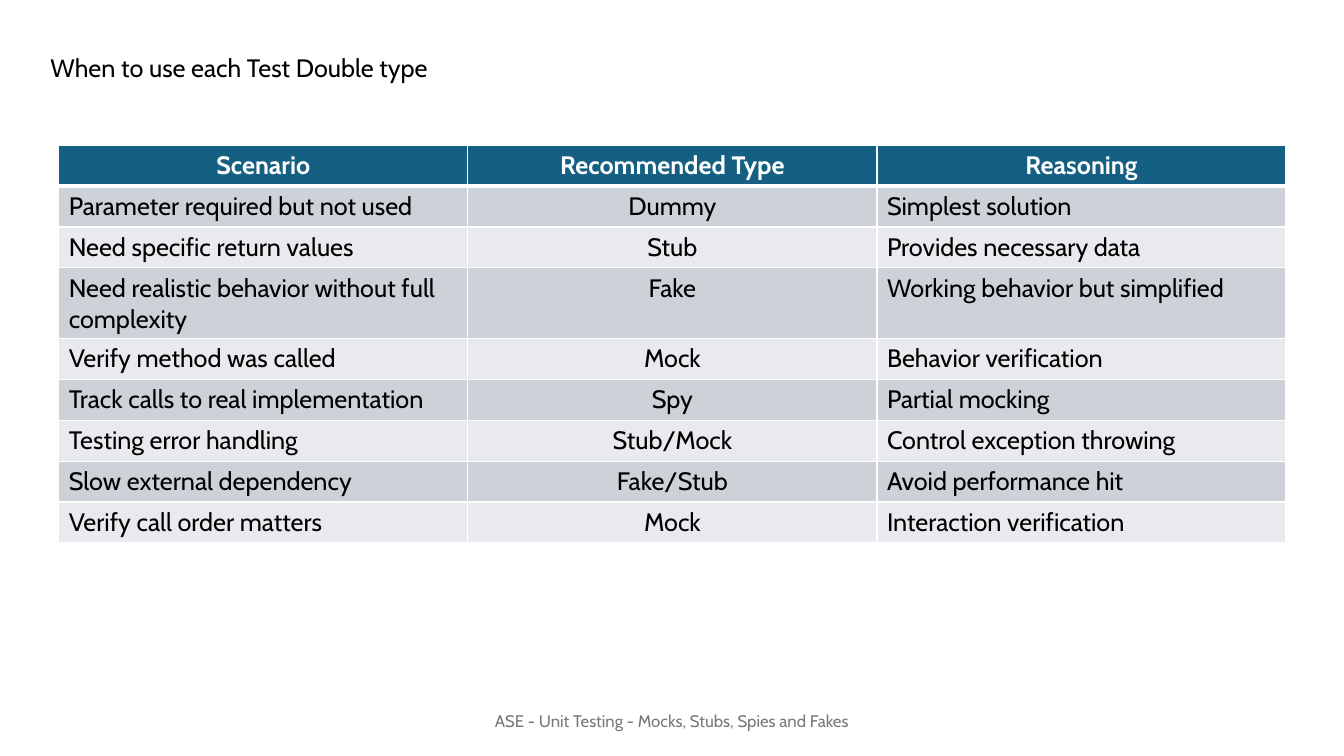
"""Build a slide with a table of recommended test double types."""
from lxml import etree
from pptx import Presentation
from pptx import util as u
from pptx.dml import color
from pptx.enum import text
from pptx.oxml import ns

ROWS = [
    ("Scenario", "Recommended Type", "Reasoning"),
    ("Parameter required but not used", "Dummy", "Simplest solution"),
    ("Need specific return values", "Stub", "Provides necessary data"),
    ("Need realistic behavior without full complexity", "Fake", "Working behavior but simplified"),
    ("Verify method was called", "Mock", "Behavior verification"),
    ("Track calls to real implementation", "Spy", "Partial mocking"),
    ("Testing error handling", "Stub/Mock", "Control exception throwing"),
    ("Slow external dependency", "Fake/Stub", "Avoid performance hit"),
    ("Verify call order matters", "Mock", "Interaction verification"),
]


def rgb(value):
    return color.RGBColor.from_string(value)


class SlideBuilder:
    font = "Cabin"
    black, white, grey = "000000", "FFFFFF", "797979"
    header_fill = "156082"
    band_fills = ("CCD2D8", "E8EAED")
    left, center = text.PP_ALIGN.LEFT, text.PP_ALIGN.CENTER

    def __init__(self, presentation):
        self.slide = presentation.slides.add_slide(presentation.slide_layouts[6])

    def add_words(self, frame, words, size, ink, align, bold=False):
        paragraph = frame.paragraphs[0]
        paragraph.alignment = align
        run = paragraph.add_run()
        run.text = words
        run.font.name = self.font
        run.font.size = u.Pt(size)
        run.font.bold = bold
        run.font.color.rgb = rgb(ink)

    def text_box(self, box, words, size, ink, align, anchor, wrap=True):
        shape = self.slide.shapes.add_textbox(*map(u.Cm, box))
        shape.text_frame.word_wrap = wrap
        shape.text_frame.vertical_anchor = anchor
        self.add_words(shape.text_frame, words, size, ink, align)

    def borders(self, cell, bottom):
        properties = cell._tc.get_or_add_tcPr()
        for side, width in (("L", 1), ("R", 1), ("T", 1), ("B", bottom)):
            line = etree.SubElement(properties, ns.qn(f"a:ln{side}"), w=str(u.Pt(width)))
            fill = etree.SubElement(line, ns.qn("a:solidFill"))
            etree.SubElement(fill, ns.qn("a:srgbClr"), val=self.white)

    def table(self, rows, left, top, column_width, row_height):
        columns = len(rows[0])
        box = (left, top, columns * column_width, len(rows) * row_height)
        table = self.slide.shapes.add_table(len(rows), columns, *map(u.Cm, box)).table
        for column in table.columns:
            column.width = u.Cm(column_width)
        for row_index, row in enumerate(rows):
            header = row_index == 0
            table.rows[row_index].height = u.Cm(row_height)
            for column_index, words in enumerate(row):
                cell = table.cell(row_index, column_index)
                self.borders(cell, 3 if header else 1)
                cell.fill.solid()
                cell.fill.fore_color.rgb = rgb(
                    self.header_fill if header else self.band_fills[(row_index - 1) % 2])
                align = self.center if header or column_index == 1 else self.left
                self.add_words(cell.text_frame, words, 18,
                               self.white if header else self.black, align, header)


def main():
    presentation = Presentation()
    presentation.slide_width = u.Cm(33.87)
    presentation.slide_height = u.Cm(19.05)
    builder = SlideBuilder(presentation)
    builder.text_box((11.22, 17.66, 11.43, 1.01),
                     "ASE - Unit Testing - Mocks, Stubs, Spies and Fakes",
                     12, builder.grey, builder.center, text.MSO_ANCHOR.MIDDLE)
    builder.text_box((1.02, 1.2, 10.16, 1.03), "When to use each Test Double type",
                     18, builder.black, builder.left, text.MSO_ANCHOR.TOP, wrap=False)
    builder.table(ROWS, left=1.48, top=3.66, column_width=10.31, row_height=1.03)
    presentation.save("out.pptx")


if __name__ == "__main__":
    main()
